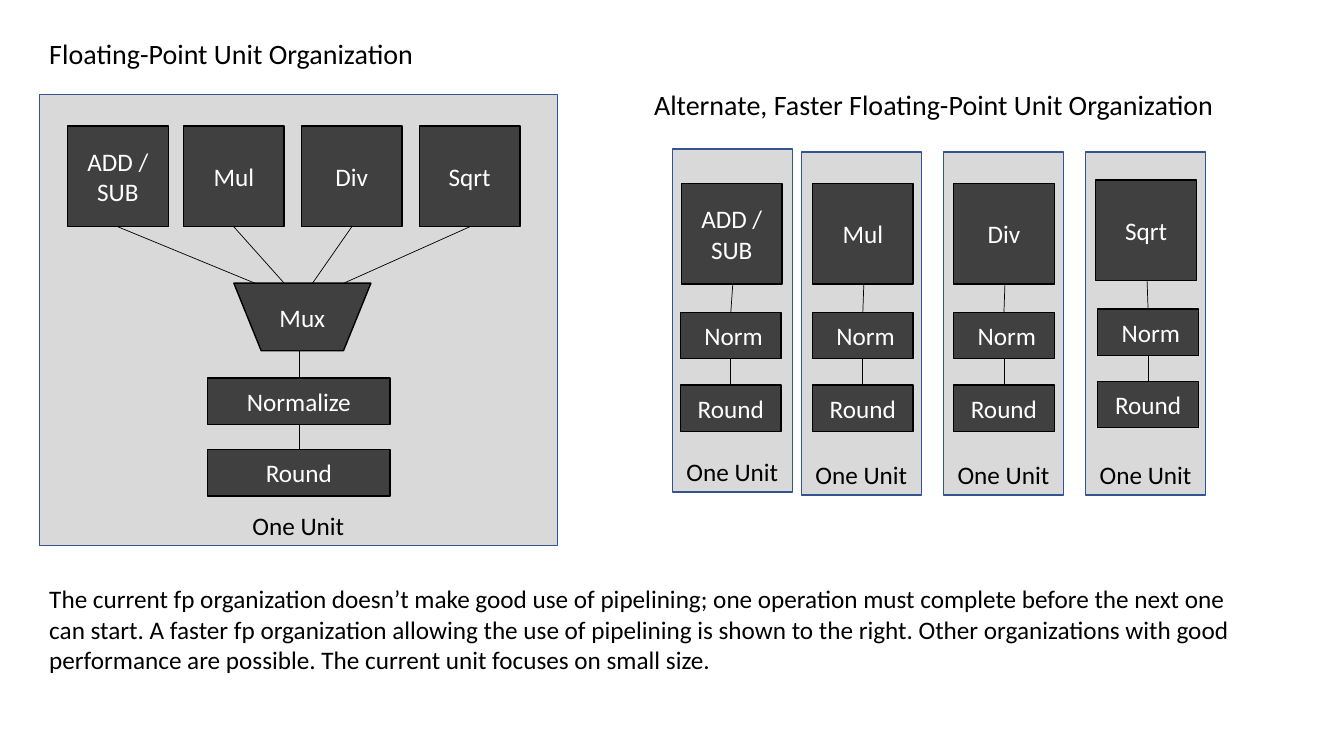
from pptx import Presentation
from pptx.dml.color import RGBColor
from pptx.enum.shapes import MSO_CONNECTOR as CONN, MSO_SHAPE as SHAPE
from pptx.enum.text import MSO_ANCHOR as ANCHOR, MSO_AUTO_SIZE as AUTO, PP_ALIGN as ALIGN
from pptx.oxml.ns import qn
from pptx.util import Inches, Pt
from lxml.etree import SubElement

COLS, ROWS = 80, 45
OPS = ["ADD / SUB", "Mul", "Div", "Sqrt"]
BOX, BAR = 6, 2.76


def rgb(value):
    return RGBColor.from_string(value)


class Diagram:
    """Draws styled elements on one slide, measured in grid columns and rows."""

    font, ink, light = "Calibri", "000000", "FFFFFF"
    dark, panel_fill, panel_line = "404040", "D9D9D9", "325491"

    def __init__(self, prs):
        self.cell_w = prs.slide_width / COLS
        self.cell_h = prs.slide_height / ROWS
        self.slide = prs.slides.add_slide(prs.slide_layouts[6])

    def place(self, x, y, w, h):
        return [round(n * size) for n, size in
                zip((x, y, w, h), (self.cell_w, self.cell_h) * 2)]

    def label(self, tf, text, color, size, align, anchor):
        tf.vertical_anchor = anchor
        p = tf.paragraphs[0]
        p.text, p.alignment = text, align
        p.font.name, p.font.size = self.font, Pt(size)
        p.font.color.rgb = rgb(color)

    def shape(self, kind, x, y, w, h, text, fill, line, color, anchor):
        sp = self.slide.shapes.add_shape(kind, *self.place(x, y, w, h))
        sp.shadow.inherit = False
        sp.fill.solid()
        sp.fill.fore_color.rgb = rgb(fill)
        sp.line.color.rgb = rgb(line)
        sp.line.width = Pt(1)
        sp.text_frame.word_wrap = True
        self.label(sp.text_frame, text, color, 18, ALIGN.CENTER, anchor)

    def panel(self, x, y, w, h):
        self.shape(SHAPE.RECTANGLE, x, y, w, h, "One Unit", self.panel_fill,
                   self.panel_line, self.ink, ANCHOR.BOTTOM)

    def block(self, x, y, w, h, text, kind=SHAPE.RECTANGLE):
        self.shape(kind, x, y, w, h, text, self.dark, self.ink, self.light, ANCHOR.MIDDLE)

    def wire(self, x1, y1, x2, y2):
        cxn = self.slide.shapes.add_connector(CONN.STRAIGHT, *self.place(x1, y1, x2, y2))
        cxn.line.color.rgb = rgb(self.ink)
        cxn.line.width = Pt(0.5)
        SubElement(cxn._element.spPr, qn("a:effectLst"))

    def text(self, x, y, w, h, text, size, wrap=False):
        tf = self.slide.shapes.add_textbox(*self.place(x, y, w, h)).text_frame
        tf.word_wrap = wrap
        tf.auto_size = AUTO.SHAPE_TO_FIT_TEXT
        self.label(tf, text, self.ink, size, ALIGN.LEFT, ANCHOR.TOP)

    def shared_unit(self):
        op_y, mux_y, norm_y, round_y = 7.5, 16.86, 22.5, 26.76
        bar_x, bar_w = 12.36, 10.86
        mid = bar_x + bar_w / 2
        self.panel(2.34, 5.64, 30.84, 26.82)
        op_xs = [4.02, 10.92, 17.94, 24.96]
        mux_xs = [15.18, 16.92, 18.6, 20.46]
        for name, x, mux_x in zip(OPS, op_xs, mux_xs):
            self.block(x, op_y, BOX, BOX, name)
            self.wire(x + BOX / 2, op_y + BOX, mux_x, mux_y)
        for name, y in [("Normalize", norm_y), ("Round", round_y)]:
            self.block(bar_x, y, bar_w, BAR, name)
        self.wire(mid, 20.22, mid, norm_y)
        self.wire(mid, norm_y + BAR, mid, round_y)
        self.block(13.92, mux_y, 8.16, 4.02, "Mux", SHAPE.FLOWCHART_MANUAL_OPERATION)

    def separate_unit(self, name, panel_x, panel_y, op_x, bar_x, lift):
        op_y, norm_y, round_y = 10.92 - lift, 18.6 - lift, 22.92 - lift
        mid = bar_x + BOX / 2
        self.panel(panel_x, panel_y, 7.14, 20.4)
        self.block(op_x, op_y, BOX, BOX, name)
        self.block(bar_x, norm_y, BOX, BAR, " Norm")
        self.block(bar_x, round_y, BOX, BAR, "Round")
        self.wire(op_x + BOX / 2 + 0.06, op_y + BOX, mid, norm_y)
        self.wire(mid, norm_y + BAR, mid, round_y)


def main():
    prs = Presentation()
    prs.slide_width, prs.slide_height = Inches(COLS / 6), Inches(ROWS / 6)
    s = Diagram(prs)
    s.text(2.34, 1.86, 23.1, 2.64, "Floating-Point Unit Organization", 20)
    s.shared_unit()
    s.text(38.34, 4.92, 34.86, 2.64, "Alternate, Faster Floating-Point Unit Organization", 20)
    units = [(40.02, 8.88, 40.56, 40.5, 0), (47.7, 9.06, 48.36, 48.36, 0),
             (56.16, 9.06, 56.76, 56.76, 0), (64.62, 9.06, 65.22, 65.34, 0.21)]
    for name, unit in zip(OPS, units):
        s.separate_unit(name, *unit)
    s.text(2.34, 34.44, 71.94, 6.06,
           "The current fp organization doesn’t make good use of pipelining; one operation "
           "must complete before the next one can start. A faster fp organization allowing "
           "the use of pipelining is shown to the right. Other organizations with good "
           "performance are possible. The current unit focuses on small size.", 18, wrap=True)
    prs.save("out.pptx")


if __name__ == "__main__":
    main()
